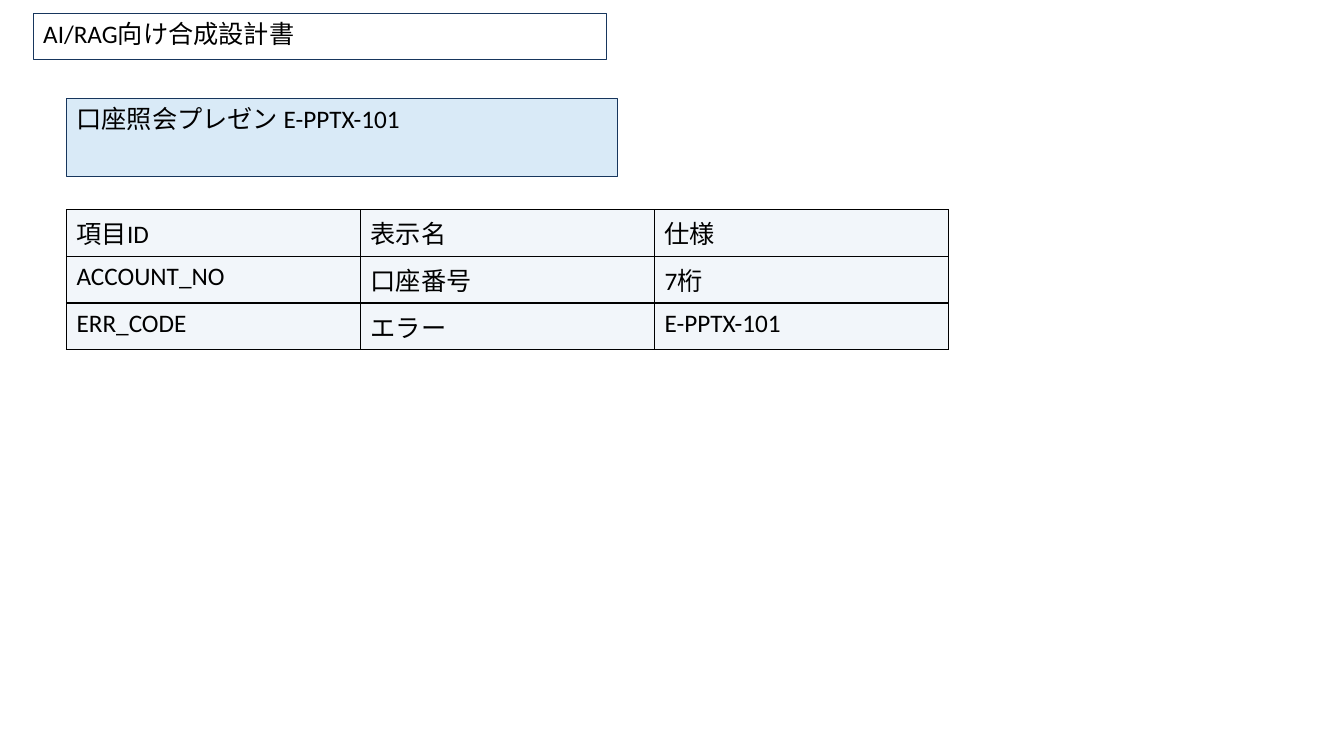
from lxml.etree import SubElement
from pptx import Presentation
from pptx.dml.color import RGBColor
from pptx.enum.shapes import MSO_SHAPE
from pptx.enum.text import MSO_ANCHOR, PP_ALIGN
from pptx.oxml.ns import qn
from pptx.util import Inches, Pt

COLORS = {
    "text": "000000",
    "border": "000000",
    "outline": "17365D",
    "title": "FFFFFF",
    "heading": "D9EAF7",
    "cell": "F2F6FA",
}
FONT = "Calibri"
FONT_SIZE = 18
FIELD_ROWS = [
    ["項目ID", "表示名", "仕様"],
    ["ACCOUNT_NO", "口座番号", "7桁"],
    ["ERR_CODE", "エラー", "E-PPTX-101"],
]


def color(name):
    """Return the named colour."""
    return RGBColor.from_string(COLORS[name])


def write_text(text_frame, text):
    """Write one left-aligned run in the slide's text style."""
    paragraph = text_frame.paragraphs[0]
    paragraph.alignment = PP_ALIGN.LEFT
    run = paragraph.add_run()
    run.text = text
    run.font.name = FONT
    run.font.size = Pt(FONT_SIZE)
    run.font.color.rgb = color("text")


def add_label(slide, box, text, fill):
    """Add an outlined label filling the box given in inches."""
    shape = slide.shapes.add_shape(MSO_SHAPE.RECTANGLE, *map(Inches, box))
    shape.shadow.inherit = False
    shape.fill.solid()
    shape.fill.fore_color.rgb = color(fill)
    shape.line.color.rgb = color("outline")
    shape.line.width = Pt(0.75)
    shape.text_frame.word_wrap = True
    shape.text_frame.vertical_anchor = MSO_ANCHOR.TOP
    write_text(shape.text_frame, text)


def add_borders(cell):
    """Draw a thin line on all four sides of a cell."""
    properties = cell._tc.get_or_add_tcPr()
    for side in ("lnL", "lnR", "lnT", "lnB"):
        line = SubElement(properties, qn(f"a:{side}"), w=str(Pt(1)))
        fill = SubElement(line, qn("a:solidFill"))
        SubElement(fill, qn("a:srgbClr"), val=COLORS["border"])


def add_field_table(slide, box, rows):
    """Add a table of equal cells filling the box given in inches."""
    left, top, width, height = map(Inches, box)
    frame = slide.shapes.add_table(len(rows), len(rows[0]), left, top, width, height)
    table = frame.table
    table.first_row = False
    table.horz_banding = False
    for row_index, row in enumerate(rows):
        for column_index, text in enumerate(row):
            cell = table.cell(row_index, column_index)
            add_borders(cell)
            cell.fill.solid()
            cell.fill.fore_color.rgb = color("cell")
            write_text(cell.text_frame, text)


def main():
    """Build and save the account inquiry slide."""
    presentation = Presentation()
    presentation.slide_width = Inches(13.33)
    presentation.slide_height = Inches(7.5)
    slide = presentation.slides.add_slide(presentation.slide_layouts[6])
    add_label(slide, (0.33, 0.13, 5.69, 0.46), "AI/RAG向け合成設計書", "title")
    add_label(slide, (0.66, 0.98, 5.47, 0.77), "口座照会プレゼン E-PPTX-101", "heading")
    add_field_table(slide, (0.66, 2.08, 8.75, 1.39), FIELD_ROWS)
    presentation.save("out.pptx")


if __name__ == "__main__":
    main()
